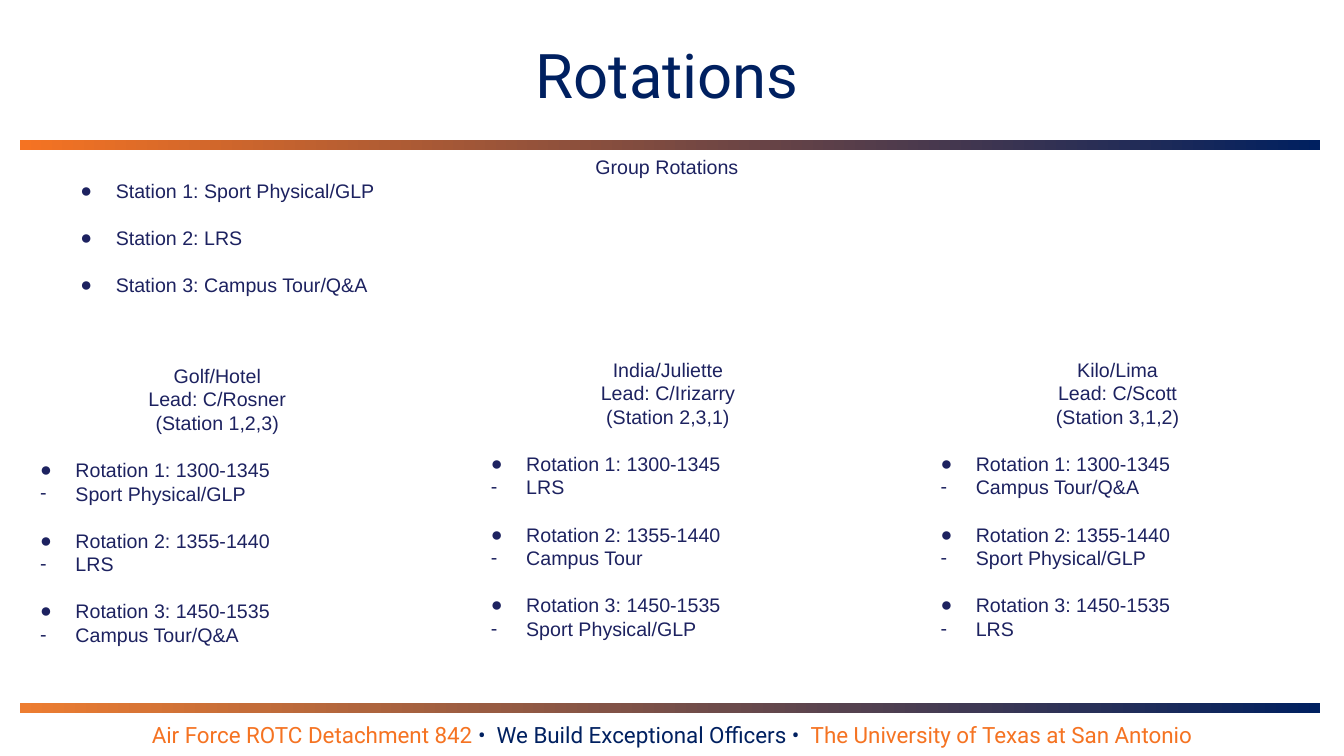
import pptx
import pptx.util
import pptx.dml.color
import pptx.enum.shapes
import pptx.enum.text
import pptx.oxml.ns
from lxml import etree
from dataclasses import dataclass

Inches, Pt = pptx.util.Inches, pptx.util.Pt
RGB = pptx.dml.color.RGBColor.from_string
ALIGN = pptx.enum.text.PP_ALIGN
ANCHOR = pptx.enum.text.MSO_ANCHOR


@dataclass(frozen=True)
class Theme:
    navy: str = "002060"
    orange: str = "F57322"
    amber: str = "ED7D31"
    ink: str = "1D2260"
    heading_font: str = "Roboto"
    body_font: str = "Arial"
    title_size: float = 44
    footer_size: float = 16
    body_size: float = 14
    body_line: float = 16.8


theme = Theme()

prs = pptx.Presentation()
prs.slide_width, prs.slide_height = Inches(13.33), Inches(7.5)
s = prs.slides.add_slide(prs.slide_layouts[6])


def add_text(left, top, width, height, anchor=ANCHOR.TOP):
    box = s.shapes.add_textbox(Inches(left), Inches(top), Inches(width), Inches(height))
    tf = box.text_frame
    tf.word_wrap = True
    tf.vertical_anchor = anchor
    return tf


def add_lines(tf, lines):
    """Each line is (text, bullet or None, blank line above)."""
    for i, (text, bullet, gap) in enumerate(lines):
        p = tf.paragraphs[0] if i == 0 else tf.add_paragraph()
        p.text = text
        p.line_spacing = Pt(theme.body_line)
        if gap:
            p.space_before = Pt(theme.body_line)
        if bullet:
            pPr = p._p.get_or_add_pPr()
            pPr.set("marL", str(Inches(0.5)))
            pPr.set("indent", str(Inches(-0.35)))
            qn = pptx.oxml.ns.qn
            color = etree.SubElement(pPr, qn("a:buClr"))
            etree.SubElement(color, qn("a:srgbClr"), val=theme.ink)
            etree.SubElement(pPr, qn("a:buFont"), typeface=theme.body_font)
            etree.SubElement(pPr, qn("a:buChar"), char=bullet)
        else:
            p.alignment = ALIGN.CENTER
        font = p.runs[0].font
        font.name, font.size = theme.body_font, Pt(theme.body_size)
        font.color.rgb = RGB(theme.ink)


# Gradient bars
for top, start in [(1.39, theme.orange), (6.97, theme.amber)]:
    sp = s.shapes.add_shape(pptx.enum.shapes.MSO_SHAPE.RECTANGLE,
                            Inches(0.2), Inches(top), Inches(12.89), Inches(0.1))
    sp.shadow.inherit = False
    sp.line.fill.background()
    sp.fill.gradient()
    sp.fill.gradient_angle = 0
    for stop, color in zip(sp.fill.gradient_stops, (start, theme.navy)):
        stop.color.rgb = RGB(color)

# Title and footer
title = add_text(2.5, 0.32, 8.24, 0.84)
footer = add_text(0, 7.1, 13.33, 0.37, ANCHOR.BOTTOM)
headings = [
    (title, theme.title_size, [("Rotations", theme.navy)]),
    (footer, theme.footer_size, [
        ("Air Force ROTC Detachment 842 ", theme.orange),
        ("•  We Build Exceptional Officers •  ", theme.navy),
        ("The University of Texas at San Antonio", theme.orange)]),
]
for tf, size, parts in headings:
    tf.auto_size = pptx.enum.text.MSO_AUTO_SIZE.SHAPE_TO_FIT_TEXT
    p = tf.paragraphs[0]
    p.alignment = ALIGN.CENTER
    for text, color in parts:
        r = p.add_run()
        r.text = text
        r.font.name, r.font.size = theme.heading_font, Pt(size)
        r.font.color.rgb = RGB(color)

# Station list
stations = ["Sport Physical/GLP", "LRS", "Campus Tour/Q&A"]
lines = [("Group Rotations", None, False)]
for n, station in enumerate(stations, 1):
    lines.append((f"Station {n}: {station}", "●", n > 1))
add_lines(add_text(0.55, 1.49, 12.13, 1.96), lines)

# Rotation schedule, one column per group
times = ["1300-1345", "1355-1440", "1450-1535"]
groups = [
    (0.15, 3.56, "Golf/Hotel", "C/Rosner", "1,2,3",
     ["Sport Physical/GLP", "LRS", "Campus Tour/Q&A"]),
    (4.62, 3.5, "India/Juliette", "C/Irizarry", "2,3,1",
     ["LRS", "Campus Tour", "Sport Physical/GLP"]),
    (9.08, 3.5, "Kilo/Lima", "C/Scott", "3,1,2",
     ["Campus Tour/Q&A", "Sport Physical/GLP", "LRS"]),
]
for left, top, name, lead, order, visits in groups:
    lines = [(name, None, False), (f"Lead: {lead}", None, False),
             (f"(Station {order})", None, False)]
    for n, (time, visit) in enumerate(zip(times, visits), 1):
        lines += [(f"Rotation {n}: {time}", "●", True), (visit, "-", False)]
    add_lines(add_text(left, top, 4.01, 3.44), lines)

prs.save("out.pptx")
